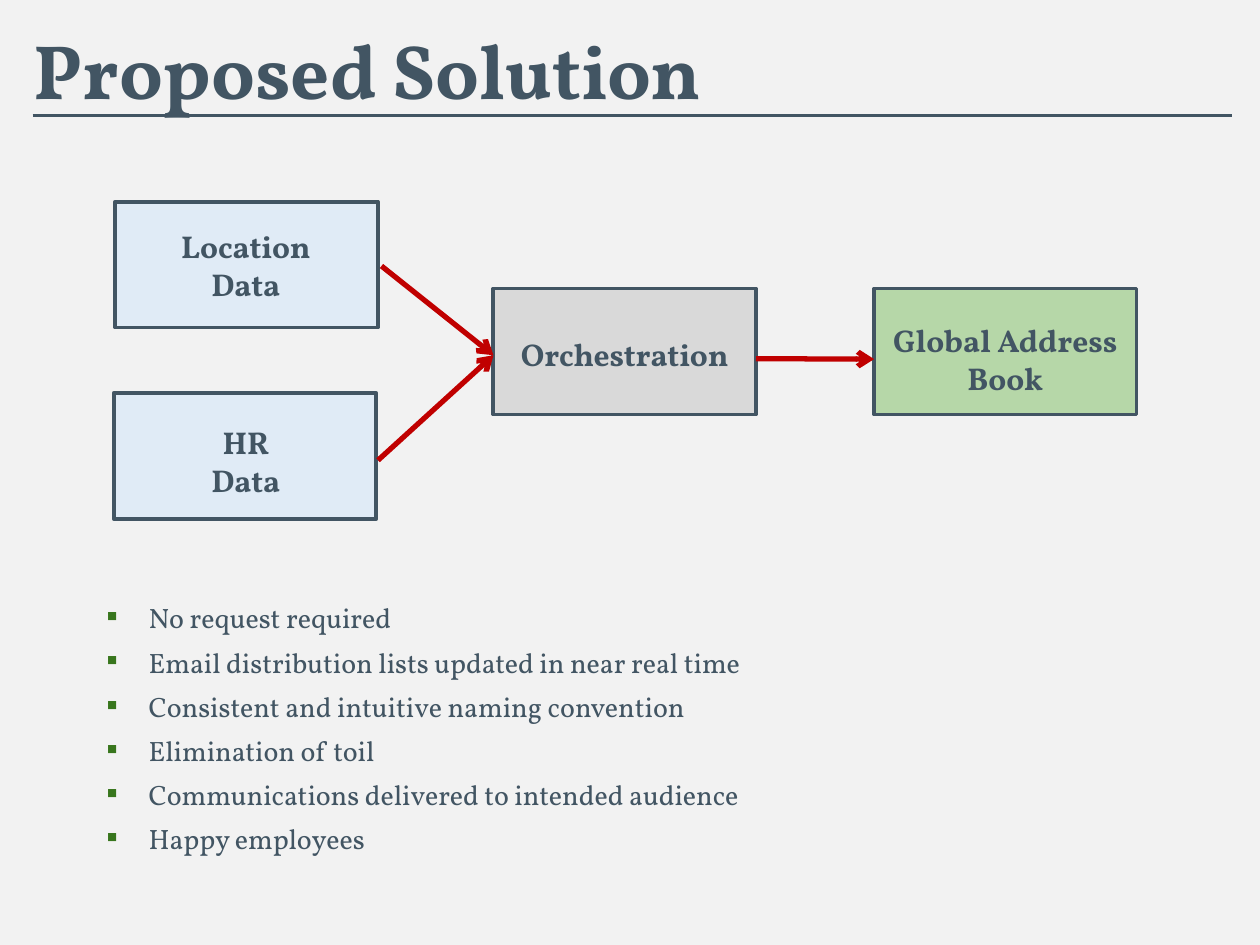
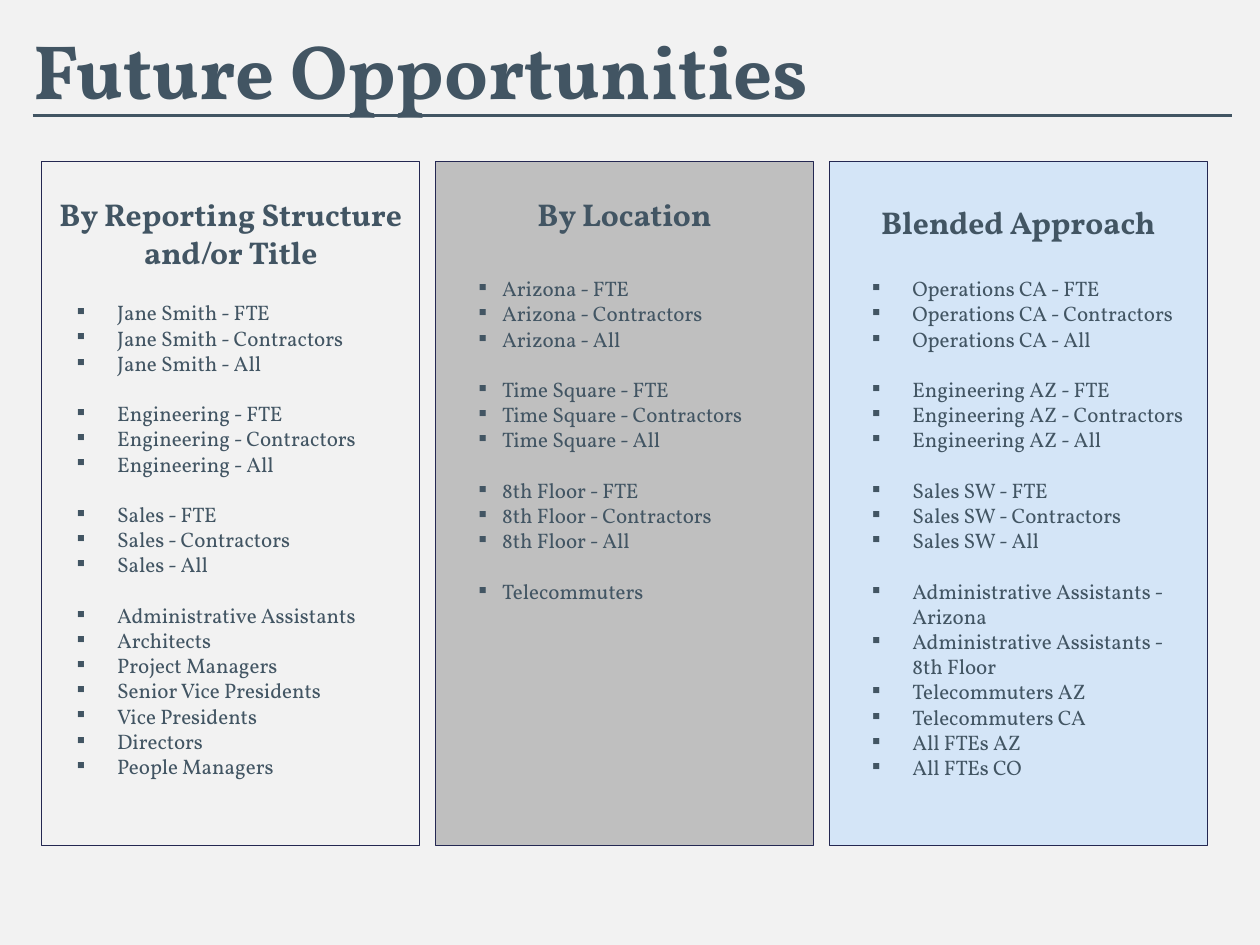
from lxml.etree import SubElement
from pptx import Presentation
from pptx.dml.color import RGBColor
from pptx.enum.shapes import MSO_CONNECTOR, MSO_SHAPE
from pptx.enum.text import PP_ALIGN
from pptx.oxml.ns import qn
from pptx.util import Pt

# Shared style
FONT = "Vollkorn"
SLATE, PAPER, NAVY = "425563", "F2F2F2", "242852"
RED, GREEN = "C00000", "38761D"
PALE_BLUE, SKY, LEAF = "E0EBF6", "D4E5F7", "B6D7A8"
LIGHT_GREY, MID_GREY = "D9D9D9", "BFBFBF"
INSET = 7.2
LINE_12 = 14.4  # height of one 12 pt line


def rgb(color):
    return RGBColor.from_string(color)


def add_text(s, box, lines, size, bold=False, align=PP_ALIGN.LEFT):
    """Add a wrapped text box with one paragraph per line."""
    tf = s.shapes.add_textbox(*map(Pt, box)).text_frame
    tf.word_wrap = True
    tf.margin_left = tf.margin_right = tf.margin_top = tf.margin_bottom = Pt(INSET)
    tf.text = "\n".join(lines)
    for p in tf.paragraphs:
        p.alignment = align
        for r in p.runs:
            r.font.name, r.font.size, r.font.bold = FONT, Pt(size), bold
            r.font.color.rgb = rgb(SLATE)
    return tf


def add_bullet(p, indent, hang, color=SLATE):
    pPr = p._p.get_or_add_pPr()
    pPr.set("marL", str(Pt(indent)))
    pPr.set("indent", str(-Pt(hang)))
    SubElement(SubElement(pPr, qn("a:buClr")), qn("a:srgbClr"), val=color)
    SubElement(pPr, qn("a:buFont"), typeface=FONT)
    SubElement(pPr, qn("a:buChar"), char="▪")


def add_box(s, box, fill, line, width):
    sp = s.shapes.add_shape(MSO_SHAPE.RECTANGLE, *map(Pt, box))
    sp.shadow.inherit = False
    sp.fill.solid()
    sp.fill.fore_color.rgb = rgb(fill)
    sp.line.color.rgb = rgb(line)
    sp.line.width = Pt(width)


def add_line(s, start, end, color, width, arrow=False):
    cx = s.shapes.add_connector(MSO_CONNECTOR.STRAIGHT, *map(Pt, start + end))
    cx.line.color.rgb = rgb(color)
    cx.line.width = Pt(width)
    if arrow:
        SubElement(cx.line._get_or_add_ln(), qn("a:tailEnd"), type="arrow")
    SubElement(cx._element.spPr, qn("a:effectLst"))


def new_slide(prs, title):
    """Blank slide with the shared background, title and rule."""
    s = prs.slides.add_slide(prs.slide_layouts[6])
    s.background.fill.solid()
    s.background.fill.fore_color.rgb = rgb(PAPER)
    tf = add_text(s, (12.2, 0.7, 707.8, 105), [title], 44, bold=True)
    tf.paragraphs[0].line_spacing = Pt(58)
    add_line(s, (18.7, 66), (704.2, 66), SLATE, 1.5)
    return s


# Slide 1: flow diagram above a list of benefits
NODE_W, NODE_H = 150, 72
NODES = [  # left, top, fill, label lines, label offset (x, y)
    (66, 115.2, PALE_BLUE, ["Location", "Data"], (-0.5, 7.2)),
    (65, 224.6, PALE_BLUE, ["HR", "Data"], (0.5, 10.1)),
    (282, 164.9, LIGHT_GREY, ["Orchestration"], (0, 19.4)),
    (499.5, 164.9, LEAF, ["Global Address Book"], (0, 11.5)),
]
FLOWS = [
    ((218, 152), (282, 203)),
    ((216, 263), (282, 203)),
    ((432, 205), (499.5, 205.2)),
]
BENEFITS = [
    "No request required",
    "Email distribution lists updated in near real time",
    "Consistent and intuitive naming convention",
    "Elimination of toil",
    "Communications delivered to intended audience",
    "Happy employees",
]


def add_node(s, left, top, fill, label, offset):
    add_box(s, (left, top, NODE_W, NODE_H), fill, SLATE, 2.25)
    dx, dy = offset
    add_text(s, (left + dx, top + dy, NODE_W, 58), label, 18, True, PP_ALIGN.CENTER)


def add_benefits(s, box):
    for p in add_text(s, box, BENEFITS, 16).paragraphs:
        p.space_after = Pt(6)
        add_bullet(p, 36, 24, GREEN)


def solution_slide(prs):
    s = new_slide(prs, "Proposed Solution")
    add_benefits(s, (41.8, 336.2, 661, 167))
    for node in NODES:
        add_node(s, *node)
    for start, end in FLOWS:
        add_line(s, start, end, RED, 3, arrow=True)


# Slide 2: three columns of grouped lists
def staff_groups(*names):
    return [[f"{name} - {kind}" for kind in ("FTE", "Contractors", "All")]
            for name in names]


COLUMN_W, COLUMN_H, COLUMN_STEP = 216, 391, 225
COLUMNS = [  # heading, fill, heading offset, list offset (x, y), (indent, hang), groups
    ("By Reporting Structure and/or Title", PAPER, 12.2, (0, 72), (36, 23),
     staff_groups("Jane Smith", "Engineering", "Sales") + [[
         "Administrative Assistants", "Architects", "Project Managers",
         "Senior Vice Presidents", "Vice Presidents", "Directors",
         "People Managers"]]),
    ("By Location", MID_GREY, 12.2, (4.4, 58.2), (26.6, 13.5),
     staff_groups("Arizona", "Time Square", "8th Floor") + [["Telecommuters"]]),
    ("Blended Approach", SKY, 16.5, (4.4, 58.2), (36, 23),
     staff_groups("Operations CA", "Engineering AZ", "Sales SW") + [[
         "Administrative Assistants - Arizona",
         "Administrative Assistants - 8th Floor",
         "Telecommuters AZ", "Telecommuters CA", "All FTEs AZ", "All FTEs CO"]]),
]


def add_column(s, left, top, heading, fill, heading_dy, offset, indents, groups):
    add_box(s, (left, top, COLUMN_W, COLUMN_H), fill, NAVY, 0.75)
    add_text(s, (left, top + heading_dy, COLUMN_W, 36), [heading], 18, True,
             PP_ALIGN.CENTER)
    dx, dy = offset
    lines = [line for group in groups for line in group]
    group_starts = {group[0] for group in groups[1:]}
    tf = add_text(s, (left + dx, top + dy, COLUMN_W - 2 * dx, COLUMN_H - dy), lines, 12)
    for p in tf.paragraphs:
        if p.text in group_starts:
            p.space_before = Pt(LINE_12)
        add_bullet(p, *indents)


def opportunities_slide(prs):
    s = new_slide(prs, "Future Opportunities")
    for i, column in enumerate(COLUMNS):
        add_column(s, 23.9 + i * COLUMN_STEP, 92.2, *column)


def main():
    prs = Presentation()
    prs.slide_width, prs.slide_height = Pt(720), Pt(540)
    solution_slide(prs)
    opportunities_slide(prs)
    prs.save("out.pptx")


if __name__ == "__main__":
    main()
